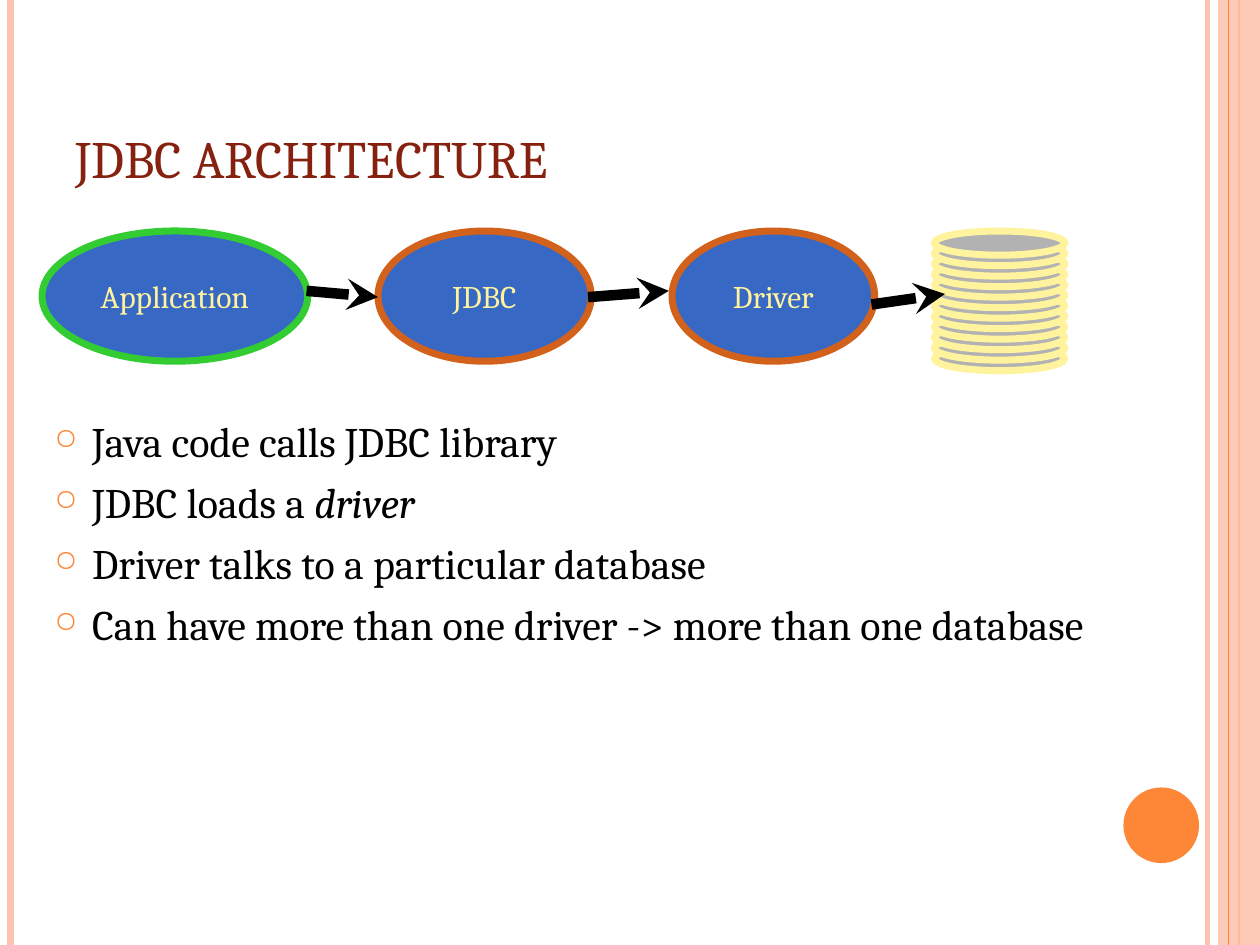
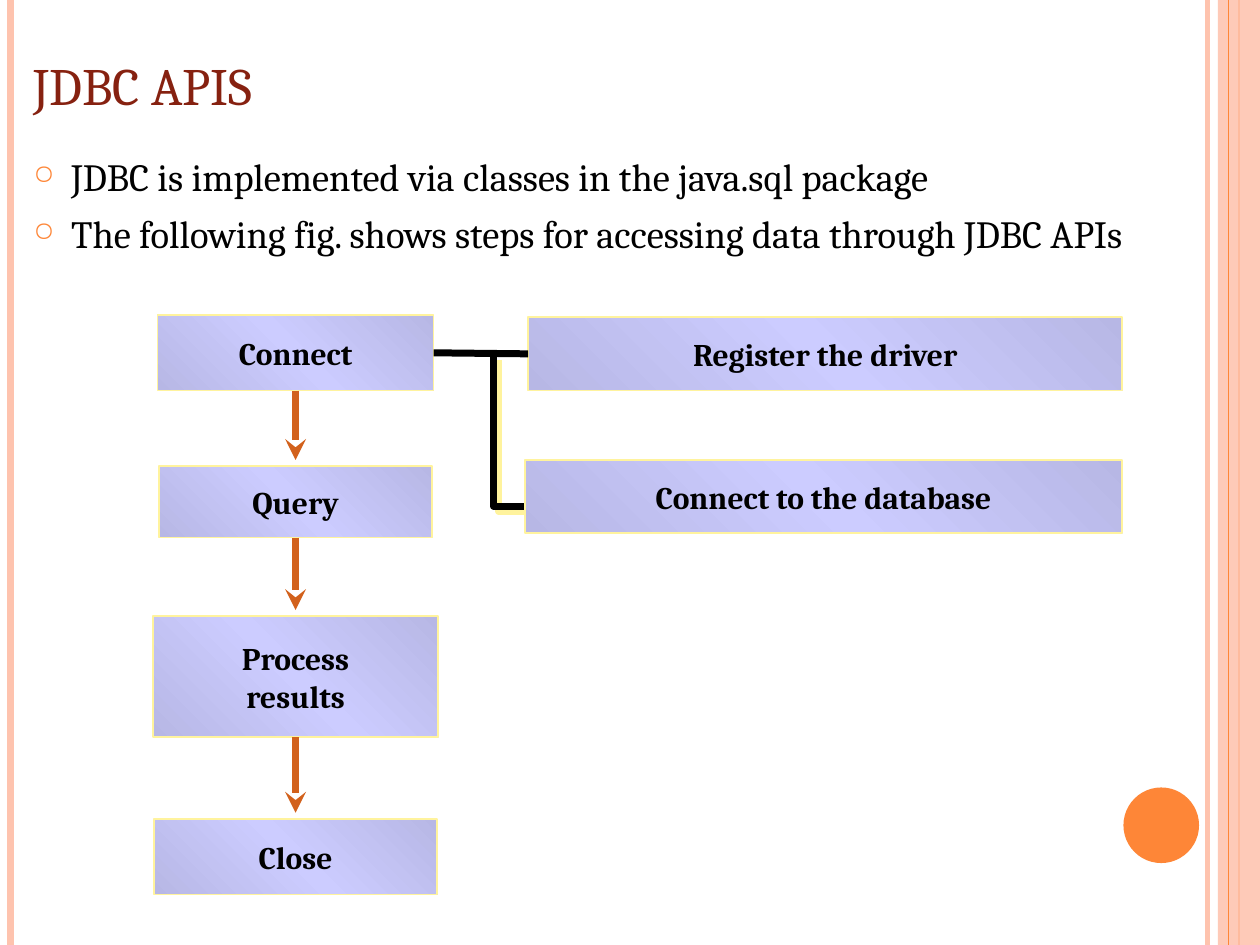
from copy import deepcopy
from lxml import etree
from pptx import Presentation
from pptx import util as u
from pptx.dml.color import RGBColor
from pptx.enum import shapes, text
from pptx.oxml import ns

COLORS = {
    "peach": "FEC3AE", "orange": "FE8637", "title": "862110", "black": "000000",
    "blue": "3668C4", "green": "33CC33", "rust": "D2611C", "yellow": "FFF39D",
    "gray": "B2B2B2", "lilac": "CCCCFF", "dusk": "B7B7E5",
}
FONT = "Cambria"
OVAL, RECT = shapes.MSO_SHAPE.OVAL, shapes.MSO_SHAPE.RECTANGLE
A = ns.qn("a:p")[:-1]  # namespace prefix of drawing elements

deck = Presentation()
deck.slide_width, deck.slide_height = u.Inches(10), u.Inches(7.5)
COL, ROW = deck.slide_width // 120, deck.slide_height // 90


def add_box(holder, place, content=(), kind=None, fill=None, line=None, weight=4,
            size=18, color="black", bold=False, bullets=False, anchor="TOP"):
    """Add a text box, or a preset shape with centred text; *stars* mark italics."""
    left, top, width, height = place
    area = [round(n) for n in (left * COL, top * ROW, width * COL, height * ROW)]
    if kind is None:
        box = holder.add_textbox(*area)
    else:
        box = holder.add_shape(kind, *area)
        box.shadow.inherit = False
        if fill:
            box.fill.solid()
            box.fill.fore_color.rgb = RGBColor.from_string(COLORS[fill])
        if line:
            box.line.color.rgb = RGBColor.from_string(COLORS[line])
            box.line.width = u.Pt(weight)
        else:
            box.line.fill.background()
    frame = box.text_frame
    frame.word_wrap = kind is None
    frame.vertical_anchor = text.MSO_ANCHOR[anchor if kind is None else "MIDDLE"]
    for index, words in enumerate(content):
        para = frame.add_paragraph() if index else frame.paragraphs[0]
        para.alignment = text.PP_ALIGN.LEFT if kind is None else text.PP_ALIGN.CENTER
        if bullets:
            if index:
                para.space_before = u.Pt(6)
            props = para._p.get_or_add_pPr()
            props.set("marL", str(u.Inches(0.3)))
            props.set("indent", str(-u.Inches(0.3)))
            tint = etree.SubElement(props, A + "buClr")
            etree.SubElement(tint, A + "srgbClr", val=COLORS["orange"])
            etree.SubElement(props, A + "buSzPct", val="70000")
            etree.SubElement(props, A + "buChar", char="○")
        for row, row_words in enumerate(words.split("\n")):
            if row:
                para.add_line_break()
            for part, span_words in enumerate(row_words.split("*")):
                if span_words:
                    span = para.add_run()
                    span.text = span_words
                    span.font.name, span.font.size = FONT, u.Pt(size)
                    span.font.bold, span.font.italic = bold, part % 2 == 1
                    span.font.color.rgb = RGBColor.from_string(COLORS[color])
    return box


def add_line(page, start, end, color, weight, arrow=False):
    """Add a straight connector between two grid points."""
    ends = [round(n) for n in (start[0] * COL, start[1] * ROW, end[0] * COL, end[1] * ROW)]
    link = page.shapes.add_connector(shapes.MSO_CONNECTOR.STRAIGHT, *ends)
    link.line.color.rgb = RGBColor.from_string(COLORS[color])
    link.line.width = u.Pt(weight)
    if arrow:
        etree.SubElement(link.line._get_or_add_ln(), A + "tailEnd", type="stealth")
    etree.SubElement(link._element.spPr, A + "effectLst")
    return link


# Shared frame, title and bullets
contents = [
    ("JDBC ARCHITECTURE", (6, 9, 109, 9.6), (4, 39, 109, 42), 24,
     ["Java code calls JDBC library",
      "JDBC loads a *driver*",
      "Driver talks to a particular database",
      "Can have more than one driver -> more than one database"]),
    ("JDBC APIS", (2, 3, 112, 8.6), (2, 14, 114, 16), 22,
     ["JDBC is implemented via classes in the java.sql package",
      "The following fig. shows steps for accessing data through JDBC APIs"]),
]
pages = []
for title, title_place, body_place, body_size, points in contents:
    page = deck.slides.add_slide(deck.slide_layouts[6])
    pages.append(page)
    for column, color, weight in ((115, "peach", 3), (1, "peach", 4.5), (118, "orange", 1.5)):
        add_line(page, (column, 0), (column, 90), color, weight)
    band = add_box(page.shapes, (116, 0, 4, 90), kind=RECT, fill="peach")
    band_color = band._element.spPr.find(f"{A}solidFill/{A}srgbClr")
    etree.SubElement(band_color, A + "alpha", val="87000")
    add_line(page, (117, 0), (117, 90), "orange", 0.75)
    add_box(page.shapes, (107, 75, 7.2, 7.2), kind=OVAL, fill="orange")
    add_box(page.shapes, title_place, [title], size=30, color="title", anchor="BOTTOM")
    add_box(page.shapes, body_place, points, size=body_size, bullets=True)
architecture, apis = pages

# Architecture: components, database discs, arrows
for name, left, width, outline in (("Application", 4, 25.3, "green"),
                                   ("JDBC", 36, 20.3, "rust"),
                                   ("Driver", 64, 19.3, "rust")):
    add_box(architecture.shapes, (left, 22, width, 12.4), [name], kind=OVAL,
            fill="blue", line=outline, color="yellow")
database = architecture.shapes.add_group_shape()
for top in range(33, 21, -1):
    add_box(database.shapes, (89, top, 12.4, 2.3), kind=OVAL, fill="gray", line="yellow")
for start, end in (((29.2, 27.7), (36, 28.3)),
                   ((56, 28.3), (63.7, 27.7)),
                   ((83, 29), (90, 28))):
    add_line(architecture, start, end, "black", 6, arrow=True)

# APIs: bracket from the first step to its second detail
corners = [(round(x * COL), round(y * ROW)) for x, y in ((47, 33.8), (47, 48.2), (52, 48.2))]
builder = apis.shapes.build_freeform(*corners[0])
builder.add_line_segments(corners[1:], close=False)
bracket = builder.convert_to_shape()
bracket.fill.background()
bracket.line.color.rgb = RGBColor.from_string(COLORS["black"])
bracket.line.width = u.Pt(4)
effects = etree.SubElement(bracket._element.spPr, A + "effectLst")
shadow = etree.SubElement(effects, A + "outerShdw", dist=str(u.Pt(4.2)),
                          dir=str(45 * 60000), algn="ctr", rotWithShape="0")
etree.SubElement(shadow, A + "srgbClr", val=COLORS["yellow"])

# APIs: steps share a centre line, details stand to the right
CENTER = 28.15
steps = [("Connect", 26.3, 30, 7.2), ("Query", 26, 44.4, 6.8),
         ("Process\nresults", 27.2, 58.7, 11.5), ("Close", 27, 78, 7.2)]
blocks = [(name, (CENTER - width / 2, top, width, height))
          for name, width, top, height in steps]
blocks += [("Register the driver", (50.3, 30.2, 56.6, 7)),
           ("Connect to the database", (50, 43.8, 56.9, 7))]
boxes = []
for name, place in blocks:
    box = add_box(apis.shapes, place, [name], kind=RECT, line="yellow", weight=1, bold=True)
    box.fill.gradient()
    box.fill.gradient_angle = 45
    stop_list = box._element.spPr.find(f"{A}gradFill/{A}gsLst")
    stop_list.append(deepcopy(stop_list[0]))
    for stop, position, color in zip(box.fill.gradient_stops, (0, 0.5, 1),
                                     ("dusk", "lilac", "dusk")):
        stop.position = position
        stop.color.rgb = RGBColor.from_string(COLORS[color])
    boxes.append(box)

# APIs: arrows stop just above the next step
for box, (_, _, top, height), following in zip(boxes, steps, steps[1:]):
    arrow = add_line(apis, (CENTER, top + height), (CENTER, following[2] - 0.6),
                     "rust", 4, arrow=True)
    arrow.begin_connect(box, 2)
link = add_line(apis, (41.3, 33.6), (50.3, 33.7), "black", 4)
link.begin_connect(boxes[0], 3)
link.end_connect(boxes[4], 1)

deck.save("out.pptx")
